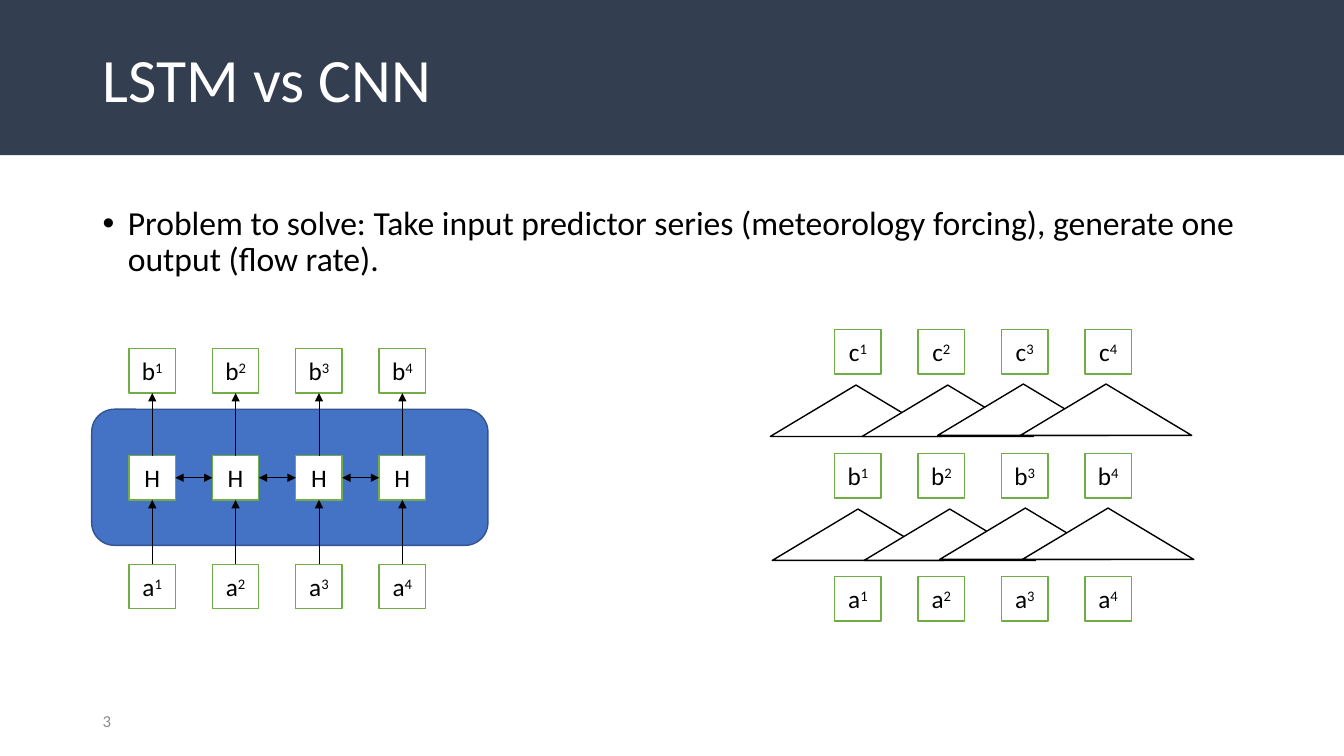
import pptx
import pptx.util
import pptx.dml.color
import pptx.enum.shapes
import pptx.enum.text
import pptx.oxml.ns
from lxml import etree
from pptx.util import Inches

COLORS = {
    "banner": "333F50", "white": "FFFFFF", "black": "000000", "number": "8C8C8C",
    "hidden": "4472C4", "hidden_edge": "325491", "box_edge": "70AD47",
}
SHAPE = pptx.enum.shapes.MSO_SHAPE
ANCHOR = pptx.enum.text.MSO_ANCHOR
ALIGN = pptx.enum.text.PP_ALIGN
qn = pptx.oxml.ns.qn


def draw(parent, kind, place, fill, edge=None):
    """Add a flat preset shape at (left, top, width, height) inches."""
    shape = parent.add_shape(kind, *map(Inches, place))
    shape.shadow.inherit = False
    shape.fill.solid()
    shape.fill.fore_color.rgb = pptx.dml.color.RGBColor.from_string(COLORS[fill])
    if edge:
        shape.line.color.rgb = pptx.dml.color.RGBColor.from_string(COLORS[edge])
        shape.line.width = pptx.util.Pt(1)
    else:
        shape.line.fill.background()
    return shape


def write(shape, text, size, color, anchor=ANCHOR.MIDDLE, superscript="", **paragraph_format):
    """Fill a shape with one paragraph, optionally ending in a superscript."""
    frame = shape.text_frame
    frame.word_wrap = True
    frame.vertical_anchor = anchor
    paragraph = frame.paragraphs[0]
    for name, value in paragraph_format.items():
        setattr(paragraph, name, value)
    for part in filter(None, (text, superscript)):
        run = paragraph.add_run()
        run.text = part
        run.font.name = "Calibri"
        run.font.size = pptx.util.Pt(size)
        run.font.color.rgb = pptx.dml.color.RGBColor.from_string(COLORS[color])
    if superscript:
        run.font._element.set("baseline", "30000")
    return paragraph


deck = pptx.Presentation()
deck.slide_width, deck.slide_height = Inches(13.33), Inches(7.5)
slide = deck.slides.add_slide(deck.slide_layouts[6])

# Heading, problem statement and slide number
draw(slide.shapes, SHAPE.RECTANGLE, (0, 0, 13.33, 1.54), "banner")
title = slide.shapes.add_textbox(Inches(0.92), Inches(0.15), Inches(11.5), Inches(1.34))
write(title, "LSTM vs CNN", 44, "white", line_spacing=0.9)

problem = slide.shapes.add_textbox(Inches(0.92), Inches(2), Inches(11.5), Inches(4.76))
statement = write(
    problem,
    "Problem to solve: Take input predictor series (meteorology forcing), "
    "generate one output (flow rate).",
    24, "black", ANCHOR.TOP, line_spacing=0.9, space_before=pptx.util.Pt(10))
bullet = statement._p.get_or_add_pPr()
bullet.set("marL", str(Inches(0.25)))
bullet.set("indent", str(Inches(-0.25)))
etree.SubElement(bullet, qn("a:buFont")).set("typeface", "Arial")
etree.SubElement(bullet, qn("a:buChar")).set("char", "•")

number = slide.shapes.add_textbox(Inches(0.92), Inches(6.95), Inches(3), Inches(0.4))
write(number, "3", 12, "number")

# Both networks: rows of four boxes, from back to front
STEPS = 4
STEP_PITCH = 0.827
BOX_WIDTH, BOX_HEIGHT = 0.46, 0.44
TRIANGLE_OFFSETS = ((0, 0.01), (0.91, 0.01), (1.66, 0), (2.48, 0))

lstm = slide.shapes.add_group_shape().shapes
cnn = slide.shapes.add_group_shape().shapes
draw(lstm, SHAPE.ROUNDED_RECTANGLE, (0.91, 4.06, 3.93, 1.35), "hidden", "hidden_edge")

# network, letter, left, top, left and top of the triangles above the row
rows = (
    (lstm, "a", 1.28, 5.6, None),
    (lstm, "H", 1.28, 4.52, None),
    (lstm, "b", 1.28, 3.46, None),
    (cnn, "a", 8.28, 5.72, (7.66, 5.04)),
    (cnn, "b", 8.28, 4.5, (7.64, 3.81)),
    (cnn, "c", 8.28, 3.27, None),
)
lstm_boxes = {}
for network, letter, left, top, triangles in rows:
    boxes = []
    for step in range(STEPS):
        place = (left + step * STEP_PITCH, top, BOX_WIDTH, BOX_HEIGHT)
        box = draw(network, SHAPE.RECTANGLE, place, "white", "box_edge")
        write(box, letter, 18, "black", alignment=ALIGN.CENTER,
              superscript="" if letter == "H" else str(step + 1))
        boxes.append(box)
    if network is lstm:
        lstm_boxes[letter] = boxes
    if triangles:
        for across, down in TRIANGLE_OFFSETS:
            place = (triangles[0] + across, triangles[1] + down, 1.7, 0.51)
            draw(network, SHAPE.ISOSCELES_TRIANGLE, place, "white", "black")

# LSTM flow: upwards through each step, both ways between hidden states
TOP, LEFT, BOTTOM, RIGHT = range(4)
inputs, hidden, outputs = (lstm_boxes[letter] for letter in "aHb")
flows = [(low, TOP, high, BOTTOM, ("tailEnd",))
         for lower, upper in ((inputs, hidden), (hidden, outputs))
         for low, high in zip(lower, upper)]
flows += [(before, RIGHT, after, LEFT, ("headEnd", "tailEnd"))
          for before, after in zip(hidden, hidden[1:])]
for source, source_side, target, target_side, arrowheads in flows:
    arrow = lstm.add_connector(pptx.enum.shapes.MSO_CONNECTOR.STRAIGHT, 0, 0, 0, 0)
    arrow.begin_connect(source, source_side)
    arrow.end_connect(target, target_side)
    arrow.line.color.rgb = pptx.dml.color.RGBColor.from_string(COLORS["black"])
    arrow.line.width = pptx.util.Pt(0.5)
    for end in arrowheads:
        etree.SubElement(arrow.line._get_or_add_ln(), qn("a:" + end)).set("type", "triangle")
    etree.SubElement(arrow._element.spPr, qn("a:effectLst"))

# Fit the group frame to the finished arrows
lstm._recalculate_extents()

deck.save("out.pptx")
